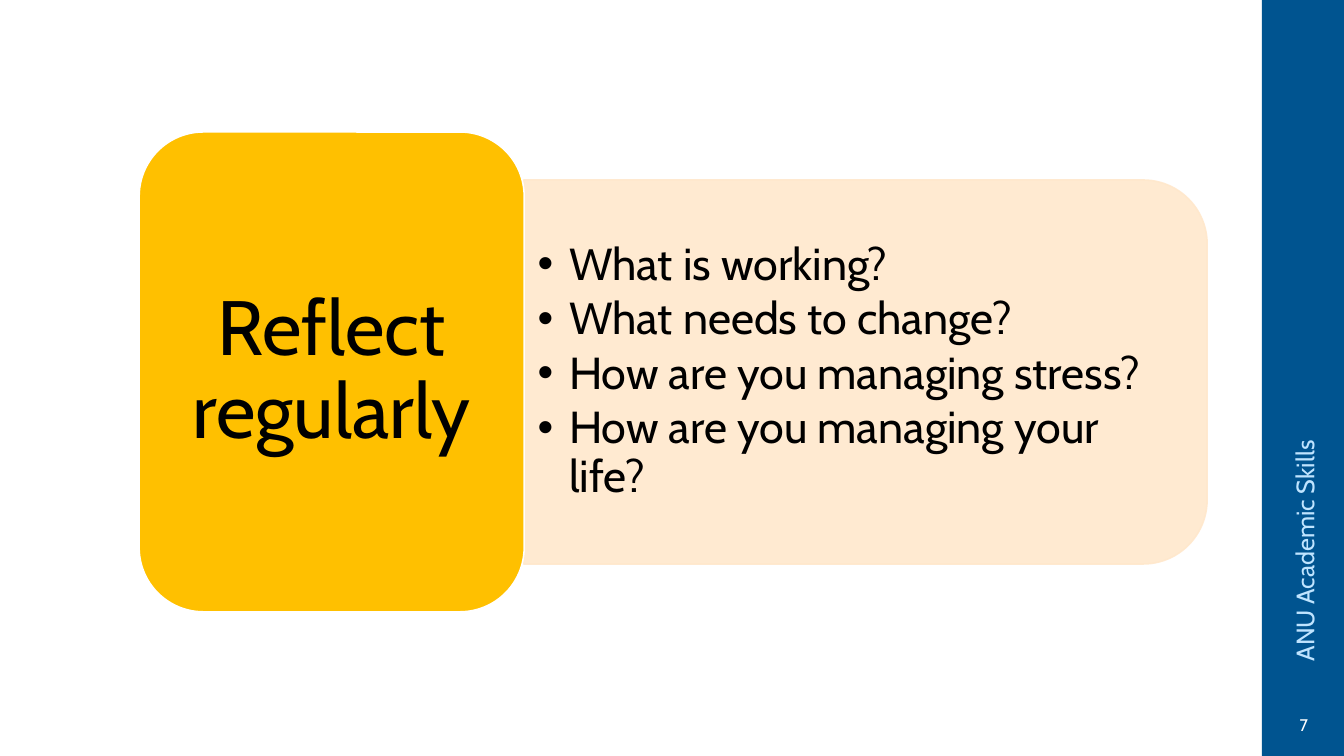
from lxml import etree
from pptx import Presentation
from pptx.dml.color import RGBColor
from pptx.enum.shapes import MSO_SHAPE
from pptx.enum.text import MSO_ANCHOR, PP_ALIGN
from pptx.oxml.ns import qn
from pptx.util import Pt

RECT, ROUNDED, ROUND_TOP = (
    MSO_SHAPE.RECTANGLE, MSO_SHAPE.ROUNDED_RECTANGLE, MSO_SHAPE.ROUND_2_SAME_RECTANGLE)
TOP, MIDDLE = MSO_ANCHOR.TOP, MSO_ANCHOR.MIDDLE
LEFT, CENTER = PP_ALIGN.LEFT, PP_ALIGN.CENTER

BLUE = RGBColor(0x00, 0x54, 0x90)
PALE_BLUE = RGBColor(0xBF, 0xE4, 0xFF)
PEACH = RGBColor(0xFF, 0xE8, 0xCC)
AMBER = RGBColor(0xFF, 0xC0, 0x00)
WHITE = RGBColor(0xFF, 0xFF, 0xFF)
BLACK = RGBColor(0x00, 0x00, 0x00)

QUESTIONS = [
    "What is working?",
    "What needs to change?",
    "How are you managing stress?",
    "How are you managing your life?",
]

prs = Presentation()
prs.slide_width, prs.slide_height = Pt(960), Pt(540)
s = prs.slides.add_slide(prs.slide_layouts[6])

# Side bar, question panel (turned on its side) and heading card
for kind, box, turn, fill, line, alpha in [
    (RECT, (901.4, 0, 58.6, 540), 0, BLUE, None, None),
    (ROUND_TOP, (481, 21.6, 274.3, 488.2), 90, PEACH, PEACH, 90),
    (ROUNDED, (99.4, 94.3, 275, 342.7), 0, AMBER, WHITE, None),
]:
    sp = s.shapes.add_shape(kind, *map(Pt, box))
    sp.rotation = turn
    sp.shadow.inherit = False
    sp.fill.solid()
    sp.fill.fore_color.rgb = fill
    if line is None:
        sp.line.fill.background()
    else:
        sp.line.color.rgb = line
        sp.line.width = Pt(1.1)
    if alpha:
        for color in sp._element.spPr.iter(qn("a:srgbClr")):
            etree.SubElement(color, qn("a:alpha"), val=str(alpha * 1000))

# Text: lines, box, turn, anchor, side and top inset, size, colour, bulleted, paragraph format
for lines, box, turn, anchor, inset, size, color, bulleted, layout in [
    (QUESTIONS, (374.4, 141.8, 475.2, 247.7), 0, MIDDLE, (9.6, 4.8), 32, BLACK, True,
     {"alignment": LEFT, "line_spacing": 0.9, "space_after": Pt(4.3)}),
    (["Reflect regularly"], (113, 108, 247.7, 316.1), 0, MIDDLE, (16.5, 8.25), 55, BLACK, False,
     {"alignment": CENTER, "line_spacing": 0.9}),
    (["ANU Academic Skills"], (753.1, 286.6, 357.1, 28.8), 270, MIDDLE, (7.2, 3.6), 18, PALE_BLUE,
     False, {"alignment": LEFT}),
    (["7"], (910.8, 506.9, 41, 23.8), 0, TOP, (7.2, 3.6), 12, WHITE, False,
     {"alignment": CENTER}),
]:
    sp = s.shapes.add_textbox(*map(Pt, box))
    sp.rotation = turn
    tf = sp.text_frame
    tf.word_wrap = True
    tf.vertical_anchor = anchor
    tf.margin_left = tf.margin_right = Pt(inset[0])
    tf.margin_top = tf.margin_bottom = Pt(inset[1])
    for i, line in enumerate(lines):
        p = tf.add_paragraph() if i else tf.paragraphs[0]
        for name, value in layout.items():
            setattr(p, name, value)
        if bulleted:
            pPr = p._p.get_or_add_pPr()
            pPr.set("marL", str(Pt(22.5)))
            pPr.set("indent", str(-Pt(22.5)))
            etree.SubElement(pPr, qn("a:buFont"), typeface="Arial")
            etree.SubElement(pPr, qn("a:buChar"), char="•")
        r = p.add_run()
        r.text = line
        r.font.name = "Cabin"
        r.font.size = Pt(size)
        r.font.color.rgb = color

prs.save("out.pptx")
